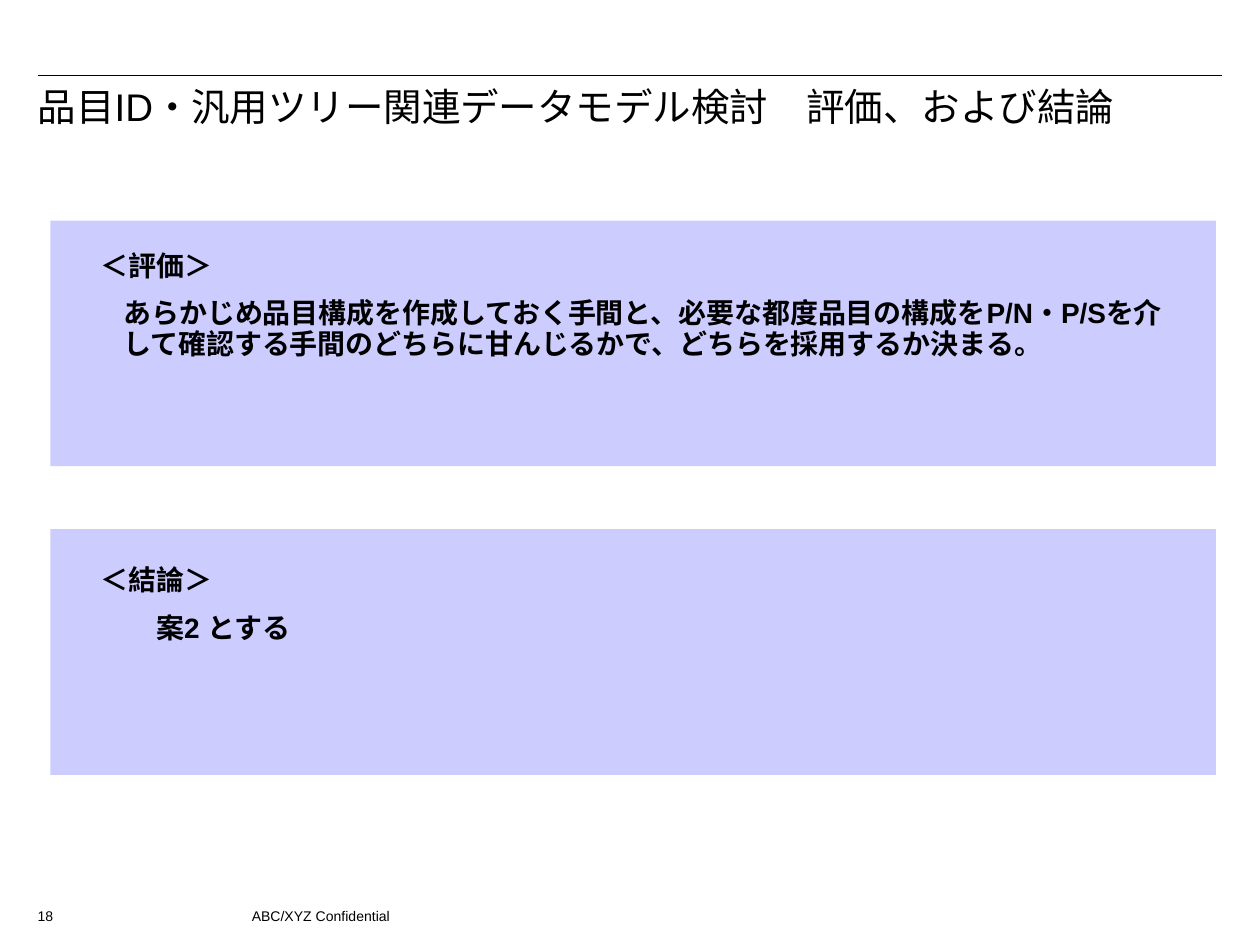
"""Build the evaluation and conclusion slide of the item ID data model study."""
from lxml import etree
from pptx import Presentation
from pptx.dml.color import RGBColor
from pptx.enum.shapes import MSO_CONNECTOR, MSO_SHAPE
from pptx.enum.text import MSO_ANCHOR, MSO_AUTO_SIZE, PP_ALIGN
from pptx.oxml.ns import qn
from pptx.util import Inches, Pt

STRAIGHT = MSO_CONNECTOR.STRAIGHT
RECTANGLE = MSO_SHAPE.RECTANGLE
TOP = MSO_ANCHOR.TOP
NO_FIT = MSO_AUTO_SIZE.NONE
LEFT = PP_ALIGN.LEFT
COLORS = {"ink": "000000", "panel": "CCCCFF"}
COLUMNS, ROWS = 200, 150

deck = Presentation()
deck.slide_width, deck.slide_height = Inches(10), Inches(7.5)
CELL_WIDTH = deck.slide_width // COLUMNS
CELL_HEIGHT = deck.slide_height // ROWS
page = deck.slides.add_slide(deck.slide_layouts[1])
title, body = page.placeholders


def cells(column, row, columns, rows):
    return (column * CELL_WIDTH, row * CELL_HEIGHT,
            columns * CELL_WIDTH, rows * CELL_HEIGHT)


def write(box, text, size, bold=False, spacing=1.0, before=0, margin=0.0, first=True):
    frame = box.text_frame
    frame.word_wrap, frame.auto_size, frame.vertical_anchor = True, NO_FIT, TOP
    para = frame.paragraphs[0] if first else frame.add_paragraph()
    properties = para._p.get_or_add_pPr()
    properties.set("marL", str(Inches(margin)))
    properties.set("indent", "0")
    etree.SubElement(properties, qn("a:buNone"))
    para.alignment, para.line_spacing = LEFT, spacing
    para.space_before = Pt(before)
    span = para.add_run()
    span.text = text
    span.font.name, span.font.size, span.font.bold = "Arial", Pt(size), bold
    span.font.color.rgb = RGBColor.from_string(COLORS["ink"])


left, top, width, height = cells(6, 12, 188, 0)
rule = page.shapes.add_connector(STRAIGHT, left, top, left + width, top)
rule.line.color.rgb = RGBColor.from_string(COLORS["ink"])
rule.line.width = Pt(0.75)
etree.SubElement(rule._element.spPr, qn("a:effectLst"))
title.element.addprevious(rule.element)

for row in (35, 84):
    panel = page.shapes.add_shape(RECTANGLE, *cells(8, row, 185, 39))
    panel.shadow.inherit = False
    panel.fill.solid()
    panel.fill.fore_color.rgb = RGBColor.from_string(COLORS["panel"])
    panel.line.fill.background()
    title.element.addprevious(panel.element)

for box, area in ((title, cells(4, 13, 193, 16)), (body, cells(14, 39, 173, 72))):
    box.left, box.top, box.width, box.height = area

write(title, "品目ID・汎用ツリー関連データモデル検討　評価、および結論", 22, spacing=0.9)

findings = (
    ("＜評価＞", 0, 0),
    ("あらかじめ品目構成を作成しておく手間と、必要な都度品目の構成をP/N・P/Sを"
     "介して確認する手間のどちらに甘んじるかで、どちらを採用するか決まる。", 10, 0.18),
    ("＜結論＞", 118, 0),
    ("案2 とする", 10, 0.44),
)
for number, (text, before, margin) in enumerate(findings):
    write(body, text, 16, bold=True, spacing=0.9, before=before, margin=margin,
          first=number == 0)

for text, area in (("ABC/XYZ Confidential", cells(38, 143, 130, 4)),
                   ("18", cells(4, 143, 8, 4))):
    write(page.shapes.add_textbox(*area), text, 8)

deck.save("out.pptx")
